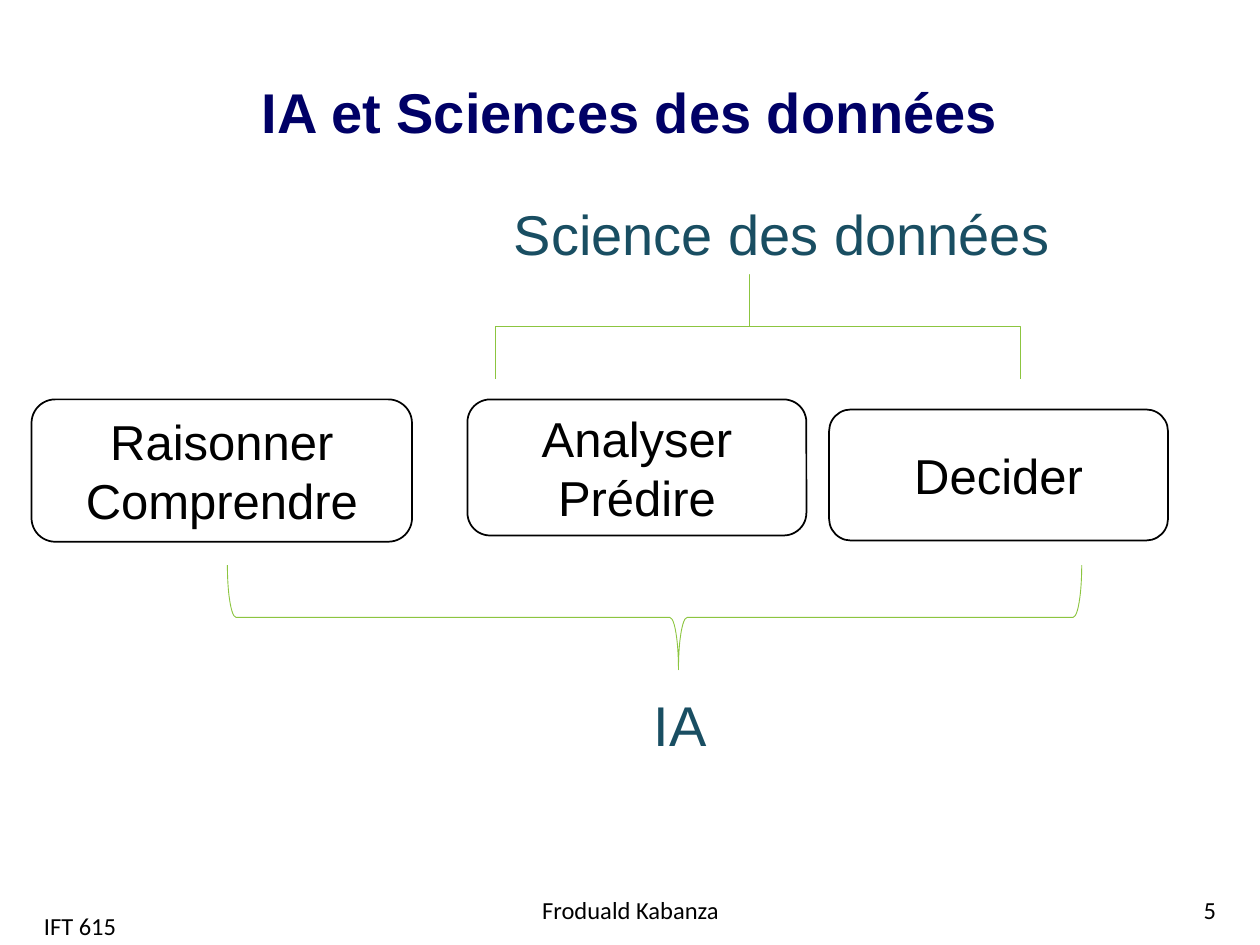
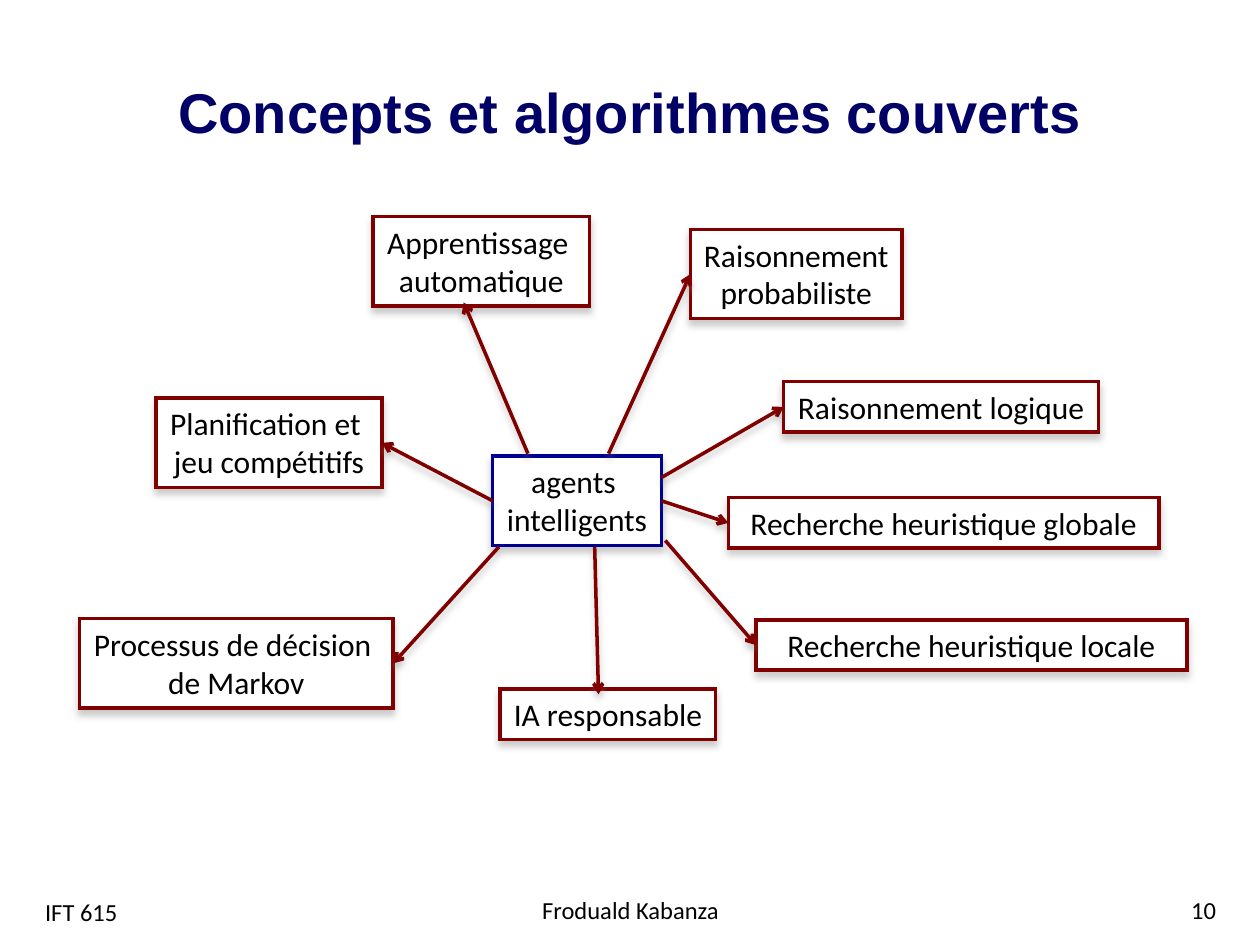
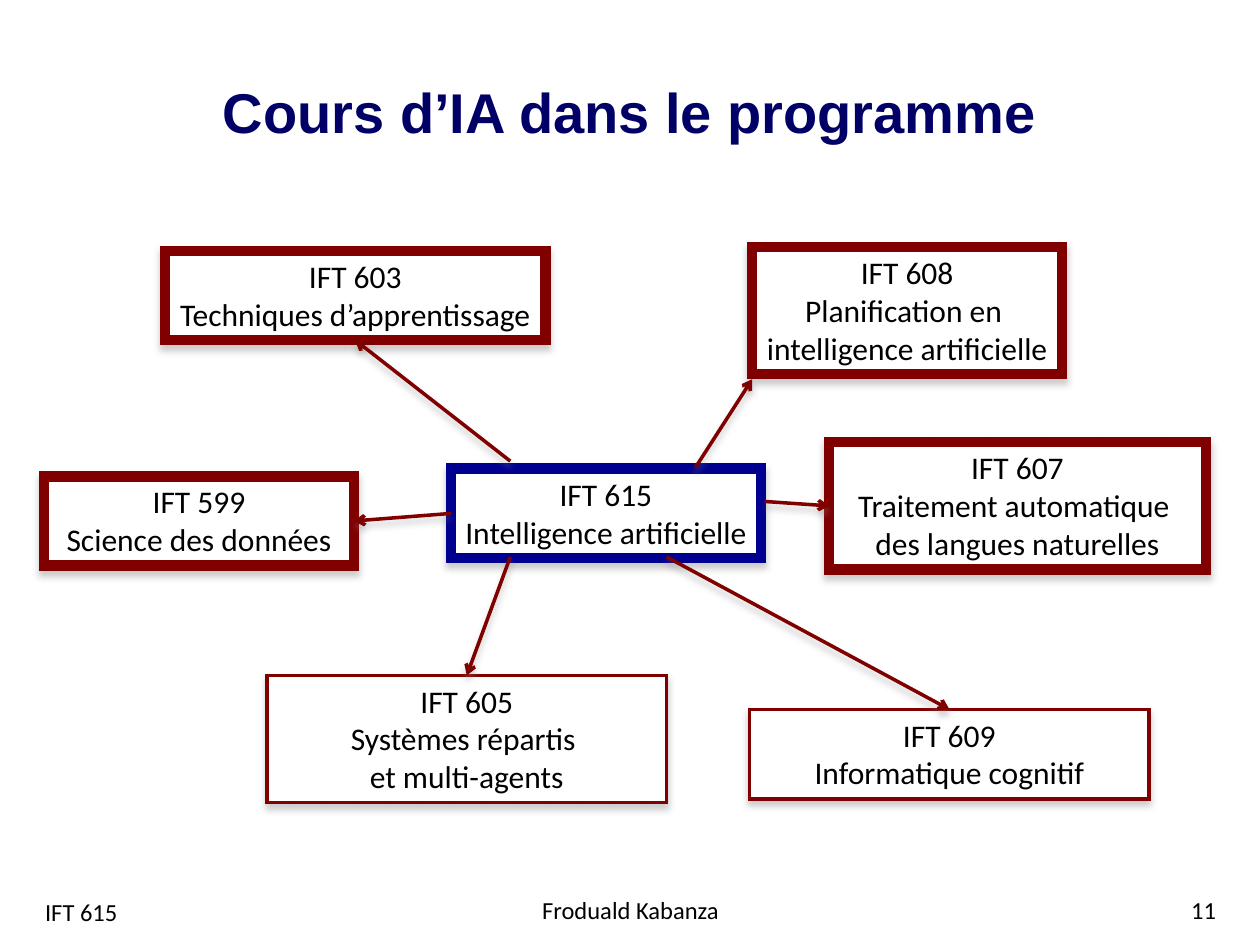
from dataclasses import dataclass

from lxml.etree import SubElement
from pptx import Presentation
from pptx.dml.color import RGBColor as RGB
from pptx.enum.shapes import MSO_CONNECTOR as LINE, MSO_SHAPE as SHAPE
from pptx.enum.text import MSO_ANCHOR as ANCHOR, MSO_AUTO_SIZE as FIT, PP_ALIGN as ALIGN
from pptx.oxml.ns import qn
from pptx.util import Inches, Pt


@dataclass(frozen=True)
class Theme:
    heading_font: str = "Arial"
    body_font: str = "Calibri"
    title: str = "000066"
    label: str = "194E62"
    ink: str = "000000"
    paper: str = "FFFFFF"
    hub: str = "000090"
    link: str = "800000"
    brace: str = "8CC540"
    shadow: str = "808080"
    title_size: int = 32
    box_size: int = 28
    node_size: int = 18
    footer_size: int = 14


T = Theme()
CELL = Inches(0.1)
COLS, ROWS = 100, 75
TOP, LEFT, BOTTOM, RIGHT = range(4)


@dataclass(frozen=True)
class Node:
    at: tuple
    text: str
    border: str = T.link
    weight: int = 2
    wrap: bool = False


def grid(*cells):
    return [round(n * CELL) for n in cells]


def write(tf, text, font, size, color=T.ink, align=ALIGN.LEFT, bold=False):
    tf.text = text
    for p in tf.paragraphs:
        p.alignment = align
        p.font.name = font
        p.font.size = Pt(size)
        p.font.bold = bold
        p.font.color.rgb = RGB.from_string(color)


def stroke(sp, color, weight):
    sp.line.color.rgb = RGB.from_string(color)
    sp.line.width = Pt(weight)


def add_line_detail(sp, tag, **attributes):
    SubElement(sp._element.spPr.find(qn("a:ln")), qn(tag), **attributes)


def fill(sp, color):
    sp.fill.solid()
    sp.fill.fore_color.rgb = RGB.from_string(color)


def drop_shadow(sp):
    effects = SubElement(sp._element.spPr, qn("a:effectLst"))
    outer = SubElement(effects, qn("a:outerShdw"), blurRad=str(Pt(4)),
                       dist=str(Pt(3)), dir="5400000", rotWithShape="0")
    color = SubElement(outer, qn("a:srgbClr"), val=T.shadow)
    SubElement(color, qn("a:alpha"), val="40000")


def add_text(s, at, text, font, size, color=T.ink, align=ALIGN.LEFT, anchor=ANCHOR.TOP):
    tf = s.shapes.add_textbox(*grid(*at)).text_frame
    tf.word_wrap = True
    tf.vertical_anchor = anchor
    write(tf, text, font, size, color, align)


def add_label(s, at, text):
    add_text(s, at, text, T.heading_font, T.title_size, T.label, anchor=ANCHOR.BOTTOM)


def add_slide(prs, title, number, title_top=1.1, course_at=(2.6, 70.7)):
    s = prs.slides.add_slide(prs.slide_layouts[5])
    sp = s.shapes.title
    sp.left, sp.top, sp.width, sp.height = grid(2.5, title_top, COLS - 5, 12 - title_top)
    tf = sp.text_frame
    tf.auto_size = FIT.NONE
    tf.vertical_anchor = ANCHOR.BOTTOM
    write(tf, title, T.heading_font, T.title_size, T.title, ALIGN.CENTER, True)
    footers = [
        ((34.2, 70.5, 31.7, 3.5), "Froduald Kabanza", ALIGN.CENTER),
        ((74.2, 70.5, 23.3, 3.5), str(number), ALIGN.RIGHT),
        ((*course_at, 23.3, 3.2), "IFT 615", ALIGN.LEFT),
    ]
    for at, text, align in footers:
        add_text(s, at, text, T.body_font, T.footer_size, align=align)
    return s


def add_rounded_box(s, at, text):
    sp = s.shapes.add_shape(SHAPE.ROUNDED_RECTANGLE, *grid(*at))
    sp.shadow.inherit = False
    fill(sp, T.paper)
    stroke(sp, T.ink, 1)
    sp.text_frame.vertical_anchor = ANCHOR.MIDDLE
    write(sp.text_frame, text, T.heading_font, T.box_size, align=ALIGN.CENTER)


def add_brace(s, at, rotation, curve, tip):
    sp = s.shapes.add_shape(SHAPE.LEFT_BRACE, *grid(*at))
    sp.rotation = rotation
    sp.adjustments[0], sp.adjustments[1] = curve, tip
    sp.shadow.inherit = False
    sp.fill.background()
    stroke(sp, T.brace, 0.5)


def add_node(s, node):
    sp = s.shapes.add_shape(SHAPE.RECTANGLE, *grid(*node.at))
    fill(sp, T.paper)
    stroke(sp, node.border, node.weight)
    add_line_detail(sp, "a:miter", lim="800000")
    drop_shadow(sp)
    tf = sp.text_frame
    tf.word_wrap = node.wrap
    tf.auto_size = FIT.SHAPE_TO_FIT_TEXT
    tf.vertical_anchor = ANCHOR.TOP
    write(tf, node.text, T.body_font, T.node_size, align=ALIGN.CENTER)
    return sp


def add_arrow(s, boxes, start, end):
    points = [(0, 0) if isinstance(e[0], str) else e for e in (start, end)]
    cn = s.shapes.add_connector(LINE.STRAIGHT, *grid(*points[0], *points[1]))
    for (target, side), join in ((start, cn.begin_connect), (end, cn.end_connect)):
        if isinstance(target, str):
            join(boxes[target], side)
    stroke(cn, T.link, 2)
    add_line_detail(cn, "a:tailEnd", type="arrow")
    drop_shadow(cn)


def add_map(s, nodes, links):
    boxes = {name: add_node(s, node) for name, node in nodes.items()}
    for start, end in links:
        add_arrow(s, boxes, start, end)


def build_data_science(prs):
    s = add_slide(prs, "IA et Sciences des données", 5, course_at=(2.5, 71.8))
    add_rounded_box(s, (2.5, 31.7, 30.2, 11.3), "Raisonner\nComprendre")
    add_rounded_box(s, (37.1, 31.7, 26.9, 10.8), "Analyser\nPrédire")
    add_rounded_box(s, (65.8, 32.5, 26.9, 10.4), "Decider")
    add_brace(s, (56, 5.1, 8.3, 41.7), 90, 0, 0.516)
    add_brace(s, (47.8, 15.1, 8.3, 67.8), 270, 0.083, 0.528)
    add_label(s, (50.9, 50.6, 10, 10), "IA")
    add_label(s, (39.8, 16.1, 46, 5.6), "Science des données")


def build_concepts(prs):
    s = add_slide(prs, "Concepts et algorithmes couverts", 10, title_top=4.3)
    nodes = {
        "agents": Node((39.1, 36.2, 13.4, 7.1), "agents \nintelligents", T.hub),
        "logic": Node((62.2, 30.3, 25, 4), "Raisonnement logique"),
        "learning": Node((29.6, 17.2, 17.2, 7.1), "Apprentissage \nautomatique"),
        "markov": Node((6.3, 49.1, 24.9, 7.1), "Processus de décision \nde Markov"),
        "planning": Node((12.4, 31.6, 17.9, 7.1), "Planification et \njeu compétitifs"),
        "local": Node((60, 49.2, 34.2, 4), "Recherche heuristique locale", wrap=True),
        "global": Node((57.8, 39.5, 34.2, 4), "Recherche heuristique globale", wrap=True),
        "responsible": Node((39.7, 54.7, 17.1, 4), "IA responsable"),
        "probability": Node((54.8, 18.2, 16.8, 7.1), "Raisonnement\nprobabiliste"),
    }
    links = [
        ((48.3, 36), ("probability", LEFT)),
        ((41.9, 36), (36.8, 24)),
        (("agents", RIGHT), ("global", LEFT)),
        ((52.8, 42.9), ("local", LEFT)),
        ((47.2, 43.4), (47.5, 55.1)),
        (("agents", LEFT), ("planning", RIGHT)),
        ((39.6, 43.4), ("markov", RIGHT)),
        ((52.5, 37.9), ("logic", LEFT)),
    ]
    add_map(s, nodes, links)


def build_courses(prs):
    s = add_slide(prs, "Cours d’IA dans le programme", 11)
    nodes = {
        "615": Node((35.8, 37.2, 24.6, 7.1), "IFT 615\nIntelligence artificielle", T.hub, 6),
        "603": Node((13.1, 19.9, 30.2, 7.1), "IFT 603\nTechniques d’apprentissage", weight=6),
        "605": Node((21.2, 53.6, 31.7, 10.1), "IFT 605\nSystèmes répartis \net multi-agents",
                    wrap=True),
        "609": Node((59.5, 56.3, 31.7, 7.1), "IFT 609\nInformatique cognitif", wrap=True),
        "608": Node((59.7, 19.6, 24.6, 10.1),
                    "IFT 608\nPlanification en \nintelligence artificielle", weight=6),
        "607": Node((65.8, 35.1, 29.9, 10.1),
                    "IFT 607\nTraitement automatique \ndes langues naturelles",
                    weight=6, wrap=True),
        "599": Node((3.5, 37.8, 24.6, 7.1), "IFT 599\nScience des données",
                    weight=6, wrap=True),
    }
    links = [
        ((40.5, 44.2), ("605", TOP)),
        ((40.5, 36.6), ("603", BOTTOM)),
        ((52.9, 44.2), ("609", TOP)),
        ((55.2, 37.1), (59.7, 30.1)),
        (("615", LEFT), ("599", RIGHT)),
        ((60.7, 39.8), ("607", LEFT)),
    ]
    add_map(s, nodes, links)


def main():
    prs = Presentation()
    prs.slide_width, prs.slide_height = grid(COLS, ROWS)
    build_data_science(prs)
    build_concepts(prs)
    build_courses(prs)
    prs.save("out.pptx")


if __name__ == "__main__":
    main()
